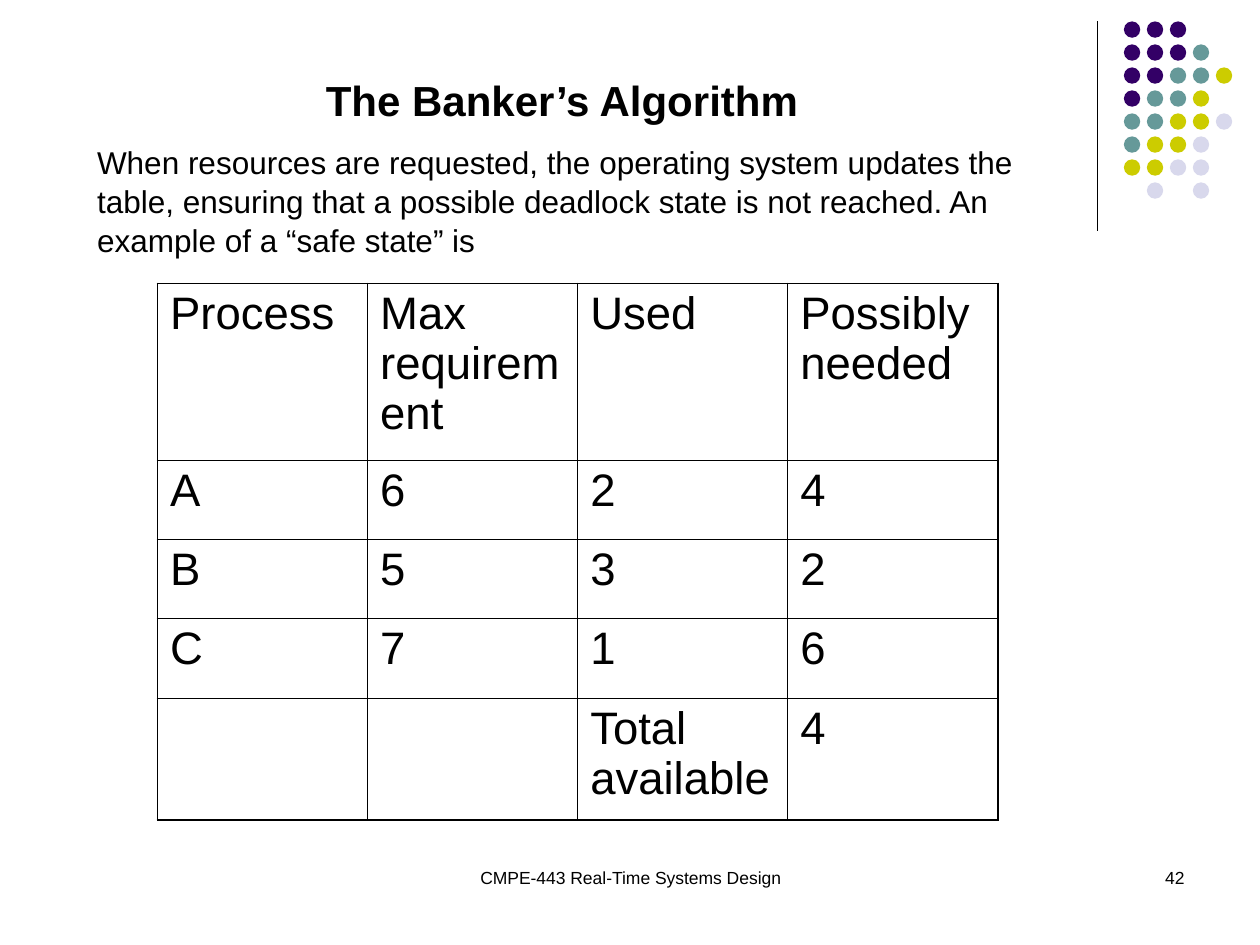
"""Build the Banker's Algorithm slide with its safe-state table."""
import lxml.etree
import pptx
import pptx.dml.color
import pptx.enum.shapes
import pptx.enum.text
import pptx.oxml
import pptx.oxml.ns
import pptx.util

Inches = pptx.util.Inches
ALIGN = pptx.enum.text.PP_ALIGN

THEME = {
    "font": "Arial",
    "ink": "000000",
    "dots": {"P": "330066", "T": "669999", "Y": "CCCC00", "L": "D8D8EC"},
    "title": 24,
    "body": 18,
    "table": 26,
    "footer": 10,
    "rule": 0.75,
    "outer": 1.08,
    "inner": 0.45,
}

TITLE = "The Banker’s Algorithm"
BODY = (
    "When resources are requested, the operating system updates the table, "
    "ensuring that a possible deadlock state is not reached. "
    "An example of a “safe state” is"
)
ROWS = [
    ("Process", "Max requirement", "Used", "Possibly needed"),
    ("A", "6", "2", "4"),
    ("B", "5", "3", "2"),
    ("C", "7", "1", "6"),
    ("", "", "Total available", "4"),
]
ROW_HEIGHTS = (1.4, 0.63, 0.63, 0.63, 0.97)
TABLE_BOX = (1.25, 2.25, 6.67, sum(ROW_HEIGHTS))
FOOTERS = [
    ("CMPE-443 Real-Time Systems Design", (3.42, 6.83, 3.17, 0.5), ALIGN.CENTER),
    ("42", (7.17, 6.83, 2.33, 0.5), ALIGN.RIGHT),
]
DOT_ROWS = ["PPP", "PPPT", "PPTTY", "PTTY", "TTYYL", "TYYL", "YYLL", " L L"]
DOT_LEFT, DOT_TOP, DOT_SIZE, DOT_STEP = 8.92, 0.17, 0.13, 0.73 / 4


def colour(value):
    return pptx.dml.color.RGBColor.from_string(value)


def write(frame, text, size, alignment=ALIGN.LEFT, bold=False, spacing=1.0):
    frame.word_wrap = True
    paragraph = frame.paragraphs[0]
    paragraph.alignment = alignment
    paragraph.line_spacing = spacing
    run = paragraph.add_run()
    run.text = text
    run.font.name = THEME["font"]
    run.font.size = pptx.util.Pt(size)
    run.font.bold = bold
    run.font.color.rgb = colour(THEME["ink"])
    return paragraph


def place(shape, box):
    shape.left, shape.top, shape.width, shape.height = map(Inches, box)
    shape.text_frame.auto_size = pptx.enum.text.MSO_AUTO_SIZE.NONE
    shape.text_frame.vertical_anchor = pptx.enum.text.MSO_ANCHOR.TOP


def add_text(slide):
    title, body = slide.placeholders
    place(title, (0.67, 0.54, 7.58, 0.5))
    write(title.text_frame, TITLE, THEME["title"], ALIGN.CENTER, bold=True)
    place(body, (0.67, 1.07, 7.58, 0.99))
    paragraph = write(body.text_frame, BODY, THEME["body"], spacing=1.04)
    paragraph.space_before = pptx.util.Pt(0)
    properties = paragraph._p.get_or_add_pPr()
    properties.set("marL", "0")
    properties.set("indent", "0")
    lxml.etree.SubElement(properties, pptx.oxml.ns.qn("a:buNone"))
    for text, box, alignment in FOOTERS:
        footer = slide.shapes.add_textbox(*map(Inches, box))
        write(footer.text_frame, text, THEME["footer"], alignment)


def set_borders(cell, outer_sides):
    properties = cell._tc.get_or_add_tcPr()
    for index, side in enumerate("LRTB"):
        width = pptx.util.Pt(THEME["outer" if side in outer_sides else "inner"])
        border = pptx.oxml.parse_xml(
            f'<a:ln{side} {pptx.oxml.ns.nsdecls("a")} w="{width}"><a:solidFill>'
            f'<a:srgbClr val="{THEME["ink"]}"/></a:solidFill></a:ln{side}>'
        )
        properties.insert(index, border)


def add_process_table(slide):
    row_count, column_count = len(ROWS), len(ROWS[0])
    frame = slide.shapes.add_table(row_count, column_count, *map(Inches, TABLE_BOX))
    table = frame.table
    table.first_row = table.horz_banding = False
    for column in table.columns:
        column.width = Inches(TABLE_BOX[2] / column_count)
    for i, (values, height) in enumerate(zip(ROWS, ROW_HEIGHTS)):
        table.rows[i].height = Inches(height)
        for j, value in enumerate(values):
            cell = table.cell(i, j)
            cell.fill.background()
            edges = {"L": j == 0, "R": j == column_count - 1,
                     "T": i == 0, "B": i == row_count - 1}
            set_borders(cell, [side for side, outer in edges.items() if outer])
            if value:
                write(cell.text_frame, value, THEME["table"], spacing=0.98)


def add_decoration(slide):
    rule = slide.shapes.add_connector(
        pptx.enum.shapes.MSO_CONNECTOR.STRAIGHT,
        *map(Inches, (8.71, 0.17, 8.71, 1.83)),
    )
    rule.line.color.rgb = colour(THEME["ink"])
    rule.line.width = pptx.util.Pt(THEME["rule"])
    lxml.etree.SubElement(rule._element.spPr, pptx.oxml.ns.qn("a:effectLst"))
    for i, pattern in enumerate(DOT_ROWS):
        for j, key in enumerate(pattern):
            if key == " ":
                continue
            box = (DOT_LEFT + j * DOT_STEP, DOT_TOP + i * DOT_STEP, DOT_SIZE, DOT_SIZE)
            dot = slide.shapes.add_shape(
                pptx.enum.shapes.MSO_SHAPE.OVAL, *map(Inches, box)
            )
            dot.shadow.inherit = False
            dot.fill.solid()
            dot.fill.fore_color.rgb = colour(THEME["dots"][key])
            dot.line.fill.background()


def main():
    presentation = pptx.Presentation()
    presentation.slide_width = Inches(10)
    presentation.slide_height = Inches(7.5)
    slide = presentation.slides.add_slide(presentation.slide_layouts[1])
    add_decoration(slide)
    add_text(slide)
    add_process_table(slide)
    presentation.save("out.pptx")


if __name__ == "__main__":
    main()
